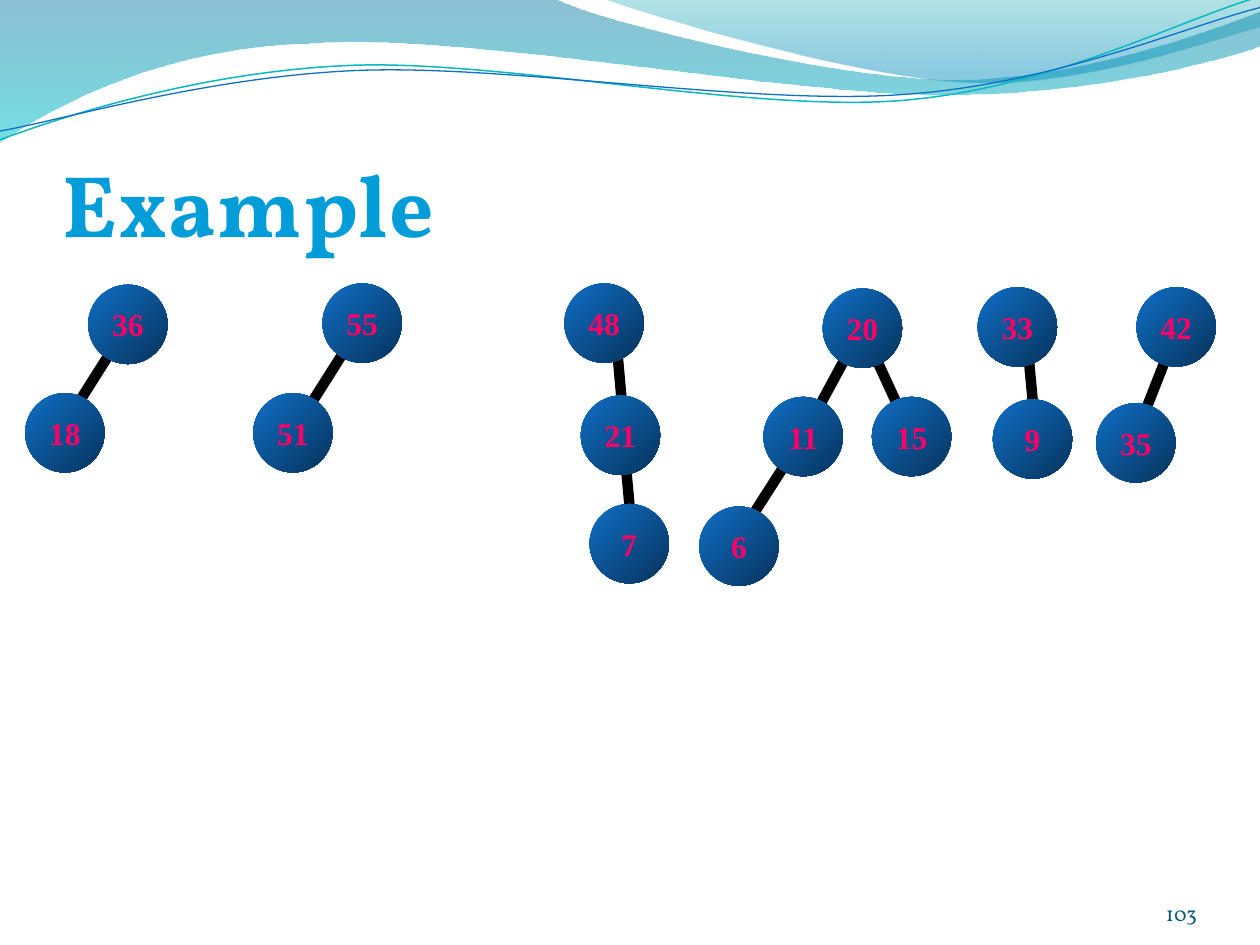
"""Build the slide of example trees under a wave banner."""

from typing import NamedTuple, Optional

from lxml import etree
from pptx import Presentation
from pptx.dml.color import RGBColor
from pptx.dml.fill import FillFormat
from pptx.enum.shapes import MSO_CONNECTOR, MSO_SHAPE
from pptx.enum.text import MSO_ANCHOR, PP_ALIGN
from pptx.oxml.ns import qn
from pptx.shapes.autoshape import Shape
from pptx.slide import Slide
from pptx.text.text import _Run as Run
from pptx.util import Inches, Pt

STRAIGHT = MSO_CONNECTOR.STRAIGHT
OVAL = MSO_SHAPE.OVAL
MIDDLE, BOTTOM = MSO_ANCHOR.MIDDLE, MSO_ANCHOR.BOTTOM
LEFT, CENTER, RIGHT = PP_ALIGN.LEFT, PP_ALIGN.CENTER, PP_ALIGN.RIGHT

COLORS = {
    "node_light": "0F6FC6",
    "node_dark": "07335C",
    "node_text": "FF0066",
    "edge": "000000",
    "title_light": "009DD9",
    "title_dark": "006F99",
    "number": "045D75",
    "banner_top": "0074A1",
    "banner_bottom": "00C6CF",
    "crest_top": "00A1A9",
    "crest_bottom": "008BBF",
    "teal_line": "0AB8BF",
    "blue_line": "0F6FC6",
}
NODE_SIZE = 0.63
EDGE_WIDTH = 6
UNITS_PER_INCH = 100
NODE_FONT = {"name": "Times New Roman", "size": Pt(18), "bold": True}
TITLE_FONT = {"name": "Vollkorn", "size": Pt(50), "bold": True}
NUMBER_FONT = {"name": "Vollkorn", "size": Pt(12)}


class Stop(NamedTuple):
    position: float
    color: str
    opacity: int = 100


class Gradient(NamedTuple):
    start: Stop
    end: Stop
    clockwise_angle: float


class Wave(NamedTuple):
    start: tuple[float, float]
    segments: list[tuple[float, ...]]
    gradient: Optional[Gradient] = None
    line_color: str = ""
    line_width: float = 0


class Node(NamedTuple):
    label: str
    left: float
    top: float


class Edge(NamedTuple):
    start: tuple[float, float]
    end: tuple[float, float]


NODE_GRADIENT = Gradient(Stop(0, "node_light"), Stop(1, "node_dark"), 45)
TITLE_GRADIENT = Gradient(Stop(0.25, "title_light"), Stop(1, "title_dark"), 90)

WAVES = [
    Wave((0, 0), [
        (4.4, -0.01),
        (4.76, 0.17, 6.64, 0.63, 7.58, 0.63),
        (8.53, 0.63, 9.58, 0.26, 10, 0.09),
        (10.01, 0.36),
        (9.83, 0.44, 8.7, 0.76, 7.46, 0.75),
        (6.22, 0.75, 3.82, 0.28, 2.57, 0.34),
        (1.29, 0.36, 0.46, 0.83, -0.01, 1.13),
    ], Gradient(Stop(0, "banner_top", 45), Stop(1, "banner_bottom", 55), 90)),
    Wave((4.79, -0.01), [
        (5.09, 0.11, 6.82, 0.62, 7.69, 0.65),
        (8.56, 0.69, 9.61, 0.32, 10, 0.21),
        (10, 0),
    ], Gradient(Stop(0, "crest_top", 30), Stop(0.8, "crest_bottom", 45), 90)),
    Wave((0, 1.11), [
        (0.48, 0.93, 1.58, 0.57, 2.77, 0.52),
        (3.95, 0.47, 5.93, 0.89, 7.13, 0.8),
        (8.33, 0.71, 9.38, 0.15, 9.98, -0.02),
    ], line_color="teal_line", line_width=0.85),
    Wave((0, 1.04), [
        (0.47, 0.96, 1.64, 0.61, 2.83, 0.56),
        (4.03, 0.51, 5.97, 0.84, 7.17, 0.75),
        (8.36, 0.67, 9.41, 0.21, 10, 0.06),
    ], line_color="blue_line", line_width=0.75),
]
EDGES = [
    Edge((9.33, 2.65), (9.02, 3.44)),
    Edge((2.87, 2.57), (2.32, 3.44)),
    Edge((1.02, 2.57), (0.47, 3.44)),
    Edge((4.88, 2.57), (4.95, 3.36)),
    Edge((4.95, 3.51), (5.03, 4.38)),
    Edge((6.84, 2.6), (6.37, 3.47)),
    Edge((6.37, 3.47), (5.82, 4.33)),
    Edge((6.84, 2.6), (7.24, 3.47)),
    Edge((8.15, 2.68), (8.23, 3.55)),
]
NODES = [
    Node("36", 0.7, 2.26), Node("18", 0.2, 3.12),
    Node("55", 2.56, 2.25), Node("51", 2.01, 3.12),
    Node("48", 4.48, 2.25), Node("21", 4.61, 3.14), Node("7", 4.68, 4),
    Node("20", 6.53, 2.29), Node("11", 6.06, 3.15),
    Node("6", 5.55, 4.02), Node("15", 6.92, 3.15),
    Node("33", 7.76, 2.28), Node("9", 7.88, 3.17),
    Node("42", 9.02, 2.28), Node("35", 8.7, 3.2),
]


def rgb(name: str) -> RGBColor:
    return RGBColor.from_string(COLORS[name])


def apply_gradient(fill: FillFormat, gradient: Gradient) -> None:
    fill.gradient()
    fill.gradient_angle = 360 - gradient.clockwise_angle
    for target, stop in zip(fill.gradient_stops, (gradient.start, gradient.end)):
        target.position = stop.position
        target.color.rgb = rgb(stop.color)
        if stop.opacity < 100:
            alpha = etree.SubElement(target._gs[0], qn("a:alpha"))
            alpha.set("val", str(stop.opacity * 1000))


def bend_segments(shape: Shape, segments: list[tuple[float, ...]]) -> None:
    lines = iter(list(shape._element.iter(qn("a:lnTo"))))
    for segment in segments:
        first, *others = [next(lines) for _ in range(len(segment) // 2)]
        if others:
            first.addprevious(curve := etree.Element(qn("a:cubicBezTo")))
            for line in (first, *others):
                curve.append(line[0])
                line.getparent().remove(line)


def draw_wave(slide: Slide, wave: Wave) -> None:
    start_x, start_y = (round(value * UNITS_PER_INCH) for value in wave.start)
    builder = slide.shapes.build_freeform(start_x, start_y, Inches(1) / UNITS_PER_INCH)
    values = [round(value * UNITS_PER_INCH) for segment in wave.segments for value in segment]
    builder.add_line_segments(list(zip(values[::2], values[1::2])), wave.gradient is not None)
    shape = builder.convert_to_shape()
    bend_segments(shape, wave.segments)
    shape.shadow.inherit = False
    if wave.gradient:
        apply_gradient(shape.fill, wave.gradient)
        shape.line.fill.background()
    else:
        shape.fill.background()
        shape.line.color.rgb = rgb(wave.line_color)
        shape.line.width = Pt(wave.line_width)


def draw_edge(slide: Slide, edge: Edge) -> None:
    ends = [Inches(value) for value in edge.start + edge.end]
    connector = slide.shapes.add_connector(STRAIGHT, *ends)
    connector.line.color.rgb = rgb("edge")
    connector.line.width = Pt(EDGE_WIDTH)
    etree.SubElement(connector._element.spPr, qn("a:effectLst"))


def write_text(shape: Shape, text: str, font: dict, frame: dict, alignment: PP_ALIGN) -> Run:
    for name, value in frame.items():
        setattr(shape.text_frame, name, value)
    paragraph = shape.text_frame.paragraphs[0]
    paragraph.alignment = alignment
    run = paragraph.add_run()
    run.text = text
    for name, value in font.items():
        setattr(run.font, name, value)
    return run


def draw_node(slide: Slide, node: Node) -> None:
    box = [Inches(value) for value in (node.left, node.top, NODE_SIZE, NODE_SIZE)]
    shape = slide.shapes.add_shape(OVAL, *box)
    shape.shadow.inherit = False
    apply_gradient(shape.fill, NODE_GRADIENT)
    shape.line.fill.background()
    frame = {"word_wrap": False, "vertical_anchor": MIDDLE}
    run = write_text(shape, node.label, NODE_FONT, frame, CENTER)
    run.font.color.rgb = rgb("node_text")


def draw_text(slide: Slide, text: str, box: tuple[float, ...], font: dict,
              alignment: PP_ALIGN, margin_top: float = 0) -> Run:
    shape = slide.shapes.add_textbox(*[Inches(value) for value in box])
    frame = {"word_wrap": True, "vertical_anchor": BOTTOM, "margin_left": 0,
             "margin_right": 0, "margin_bottom": 0, "margin_top": Inches(margin_top)}
    return write_text(shape, text, font, frame, alignment)


def main() -> None:
    presentation = Presentation()
    presentation.slide_width, presentation.slide_height = Inches(10), Inches(7.5)
    slide = presentation.slides.add_slide(presentation.slide_layouts[6])
    for wave in WAVES:
        draw_wave(slide, wave)
    number = draw_text(slide, "103", (8.67, 6.95, 0.83, 0.4), NUMBER_FONT, RIGHT)
    number.font.color.rgb = rgb("number")
    for edge in EDGES:
        draw_edge(slide, edge)
    title = draw_text(slide, "Example", (0.5, 0.77, 9, 1.25), TITLE_FONT, LEFT, 0.05)
    apply_gradient(title.font.fill, TITLE_GRADIENT)
    title.font._element.set("spc", "50")
    for node in NODES:
        draw_node(slide, node)
    presentation.save("out.pptx")


if __name__ == "__main__":
    main()
